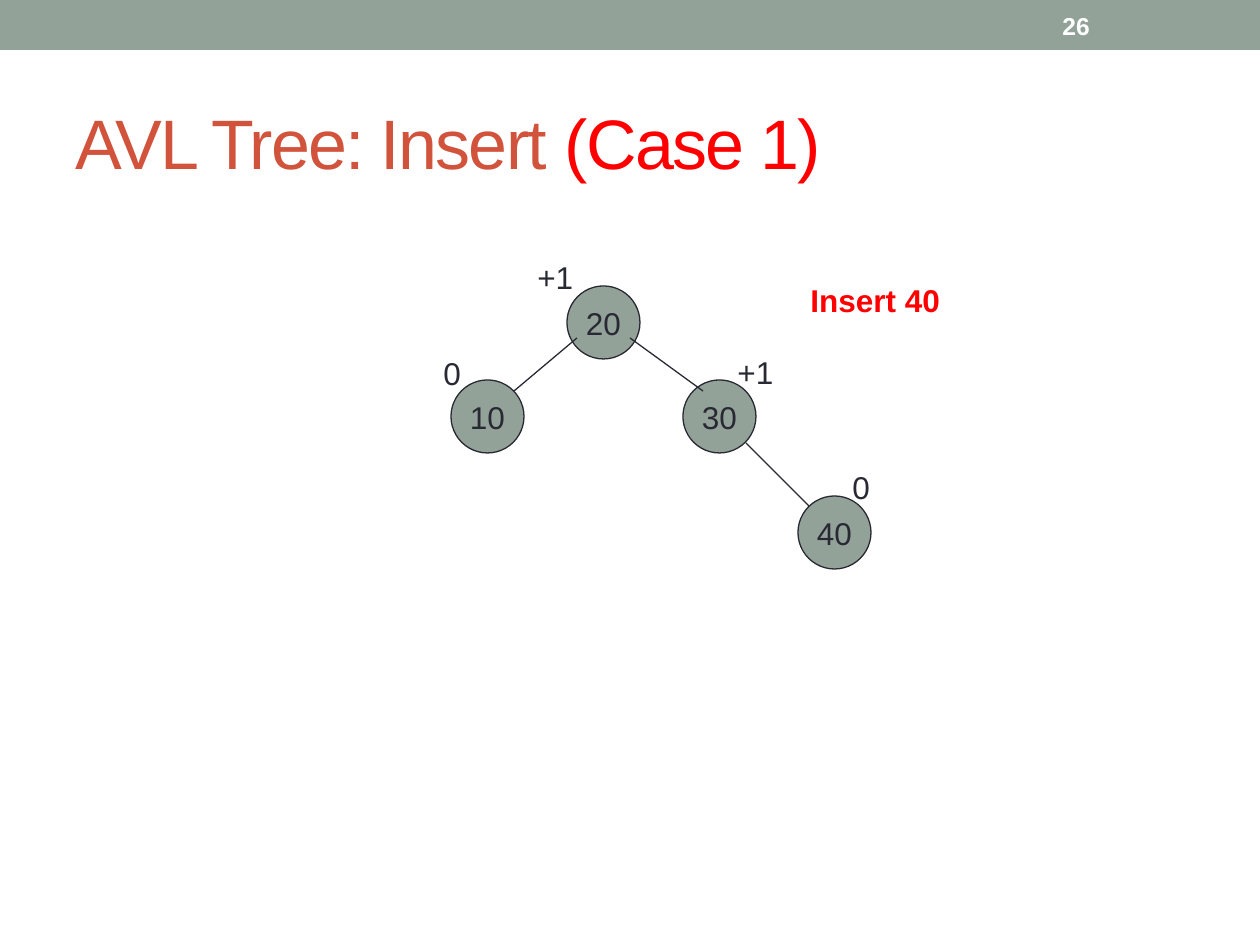
import dataclasses

import pptx
import pptx.dml.color
import pptx.enum.shapes
import pptx.enum.text
import pptx.oxml.ns
import pptx.util
from lxml import etree


@dataclasses.dataclass(frozen=True)
class Theme:
    font: str = "Arial"
    sage: str = "93A299"
    ink: str = "292934"
    rust: str = "D2533C"
    red: str = "FF0000"
    white: str = "FFFFFF"
    title_size: int = 40
    number_size: int = 14
    body_size: int = 18
    line_width: float = 0.75


class SlideBuilder:
    EMU_PER_PX = 914400 / 126

    def __init__(self, slide, theme):
        self.slide = slide
        self.theme = theme

    @classmethod
    def emu(cls, *lengths):
        return [pptx.util.Emu(round(length * cls.EMU_PER_PX)) for length in lengths]

    @staticmethod
    def color(value):
        return pptx.dml.color.RGBColor.from_string(value)

    def style_run(self, run, size, color, bold=False):
        run.font.name = self.theme.font
        run.font.size = pptx.util.Pt(size)
        run.font.bold = bold
        run.font.color.rgb = self.color(color)

    def title(self, box, parts):
        title = self.slide.shapes.title
        title.left, title.top, title.width, title.height = self.emu(*box)
        title.text_frame.vertical_anchor = pptx.enum.text.MSO_ANCHOR.MIDDLE
        paragraph = title.text_frame.paragraphs[0]
        paragraph.alignment = pptx.enum.text.PP_ALIGN.LEFT
        for text, color in parts:
            run = paragraph.add_run()
            run.text = text
            self.style_run(run, self.theme.title_size, color)
            run.font._element.set("spc", "-100")

    def shape(self, kind, box, fill, line=None):
        shape = self.slide.shapes.add_shape(kind, *self.emu(*box))
        shape.shadow.inherit = False
        shape.fill.solid()
        shape.fill.fore_color.rgb = self.color(fill)
        if line:
            shape.line.color.rgb = self.color(line)
            shape.line.width = pptx.util.Pt(self.theme.line_width)
        else:
            shape.line.fill.background()
        return shape

    def band(self, box):
        self.shape(pptx.enum.shapes.MSO_SHAPE.RECTANGLE, box, self.theme.sage)

    def node(self, left, top, diameter, text):
        box = (left, top, diameter, diameter)
        shape = self.shape(pptx.enum.shapes.MSO_SHAPE.OVAL, box, self.theme.sage, self.theme.ink)
        frame = shape.text_frame
        frame.text = text
        frame.word_wrap = False
        frame.vertical_anchor = pptx.enum.text.MSO_ANCHOR.MIDDLE
        frame.paragraphs[0].alignment = pptx.enum.text.PP_ALIGN.CENTER
        self.style_run(frame.paragraphs[0].runs[0], self.theme.body_size, self.theme.ink)

    def edge(self, *ends):
        connector = self.slide.shapes.add_connector(
            pptx.enum.shapes.MSO_CONNECTOR.STRAIGHT, *self.emu(*ends)
        )
        connector.line.color.rgb = self.color(self.theme.ink)
        connector.line.width = pptx.util.Pt(self.theme.line_width)
        etree.SubElement(connector._element.spPr, pptx.oxml.ns.qn("a:effectLst"))

    def label(self, box, text, size, color, bold=False):
        frame = self.slide.shapes.add_textbox(*self.emu(*box)).text_frame
        frame.text = text
        frame.word_wrap = False
        frame.auto_size = pptx.enum.text.MSO_AUTO_SIZE.SHAPE_TO_FIT_TEXT
        self.style_run(frame.paragraphs[0].runs[0], size, color, bold)
        return frame

    def slide_number(self, box, text):
        frame = self.label(box, text, self.theme.number_size, self.theme.white, True)
        frame.word_wrap = True
        frame.auto_size = pptx.enum.text.MSO_AUTO_SIZE.NONE
        frame.vertical_anchor = pptx.enum.text.MSO_ANCHOR.MIDDLE


def main():
    theme = Theme()
    presentation = pptx.Presentation()
    presentation.slide_width, presentation.slide_height = SlideBuilder.emu(1260, 945)
    slide = presentation.slides.add_slide(presentation.slide_layouts[5])
    builder = SlideBuilder(slide, theme)

    builder.band((0, 0, 1260, 50))
    builder.title((63, 73, 1134, 136), [("AVL Tree: Insert ", theme.rust), ("(Case 1)", theme.red)])
    builder.slide_number((1050, 3, 147, 45), "26")

    diameter = 73
    nodes = [("30", 683, 380), ("20", 567, 286), ("10", 451, 380), ("40", 798, 496)]
    for text, left, top in nodes:
        builder.node(left, top, diameter, text)

    edges = [(577, 338, 514, 391), (630, 338, 703, 391), (746, 443, 809, 506)]
    for ends in edges:
        builder.edge(*ends)

    balance_factors = [
        ("+1", 525, 252, 71),
        ("0", 840, 462, 43),
        ("+1", 725, 347, 71),
        ("0", 431, 348, 45),
    ]
    for text, left, top, width in balance_factors:
        builder.label((left, top, width, 50), text, theme.body_size, theme.ink)
    builder.label((798, 275, 164, 50), "Insert 40", theme.body_size, theme.red, True)

    presentation.save("out.pptx")


if __name__ == "__main__":
    main()
